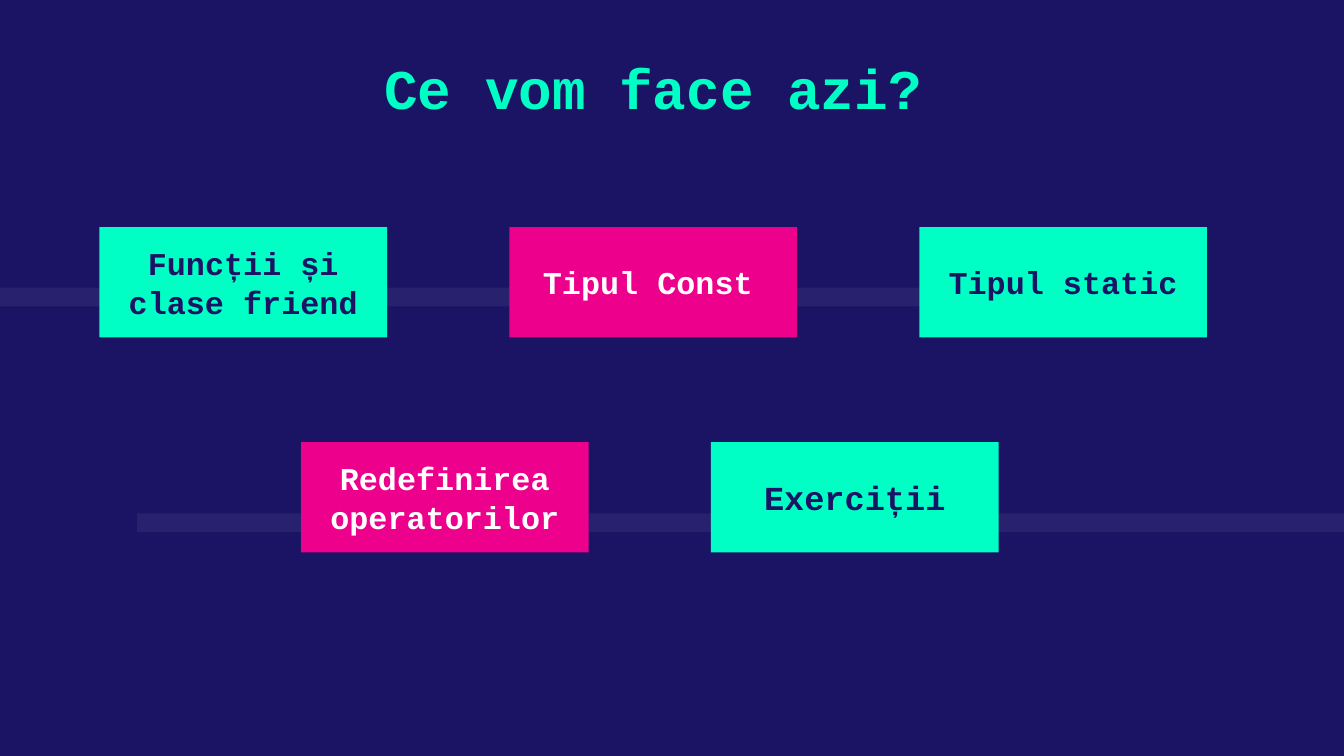
from pptx import Presentation
from pptx.util import Inches, Pt
from pptx.dml.color import RGBColor
from pptx.enum.shapes import MSO_SHAPE
from pptx.enum.text import PP_ALIGN, MSO_ANCHOR
from pptx.oxml.ns import qn
from lxml import etree

NAVY, MINT, PINK, WHITE = "1B1464", "00FFC5", "EC008C", "FFFFFF"


def color(code):
    return RGBColor.from_string(code)


def write(shape, text, size, tone, anchor):
    frame = shape.text_frame
    frame.word_wrap = True
    frame.vertical_anchor = anchor
    for side in ("left", "right", "top", "bottom"):
        setattr(frame, f"margin_{side}", Inches(0.1))
    para = frame.paragraphs[0]
    para.alignment = PP_ALIGN.CENTER
    run = para.add_run()
    run.text = text
    look = {"name": "Courier New", "size": Pt(size), "bold": True}
    for key, value in look.items():
        setattr(run.font, key, value)
    run.font.color.rgb = color(tone)
    return frame


# Widescreen slide, 16 to 9
deck = Presentation()
deck.slide_width = Inches(10)
deck.slide_height = Inches(10) * 9 // 16
slide = deck.slides.add_slide(deck.slide_layouts[6])
slide.background.fill.solid()
slide.background.fill.fore_color.rgb = color(NAVY)

# Faint bands behind the boxes
for left, top, width in [(0, 2.14, 8.52), (1.02, 3.82, 8.98)]:
    band = slide.shapes.add_shape(MSO_SHAPE.RECTANGLE, Inches(left), Inches(top),
                                  Inches(width), Inches(0.14))
    band.shadow.inherit = False
    band.line.fill.background()
    band.fill.solid()
    band.fill.fore_color.rgb = color(WHITE)
    tint = band.fill._xPr.find(qn("a:solidFill"))[0]
    etree.SubElement(tint, qn("a:alpha"), val="6000")

# Title
title = slide.shapes.add_textbox(Inches(1.26), Inches(0.3), Inches(7.2), Inches(0.73))
write(title, "Ce vom face azi?", 30, MINT, MSO_ANCHOR.TOP)

# Topic boxes: two rows with an equal step
step = 3.05
rows = [
    (0.74, 1.69, [("Funcții și clase friend", 17, MINT, NAVY),
                  ("Tipul Const", 17, PINK, WHITE),
                  ("Tipul static", 17, MINT, NAVY)]),
    (2.24, 3.29, [("Redefinirea operatorilor", 17, PINK, WHITE),
                  ("Exerciții", 18, MINT, NAVY)]),
]
for left, top, topics in rows:
    for col, (text, size, back, tone) in enumerate(topics):
        box = slide.shapes.add_shape(MSO_SHAPE.RECTANGLE, Inches(left + col * step),
                                     Inches(top), Inches(2.14), Inches(0.82))
        box.shadow.inherit = False
        box.line.fill.background()
        box.fill.solid()
        box.fill.fore_color.rgb = color(back)
        frame = write(box, text, size, tone, MSO_ANCHOR.MIDDLE)
        # This topic is set from the left, with an indent
        if text == "Tipul Const":
            frame.paragraphs[0].alignment = PP_ALIGN.LEFT
            frame.margin_left = Inches(0.25)

deck.save("out.pptx")
